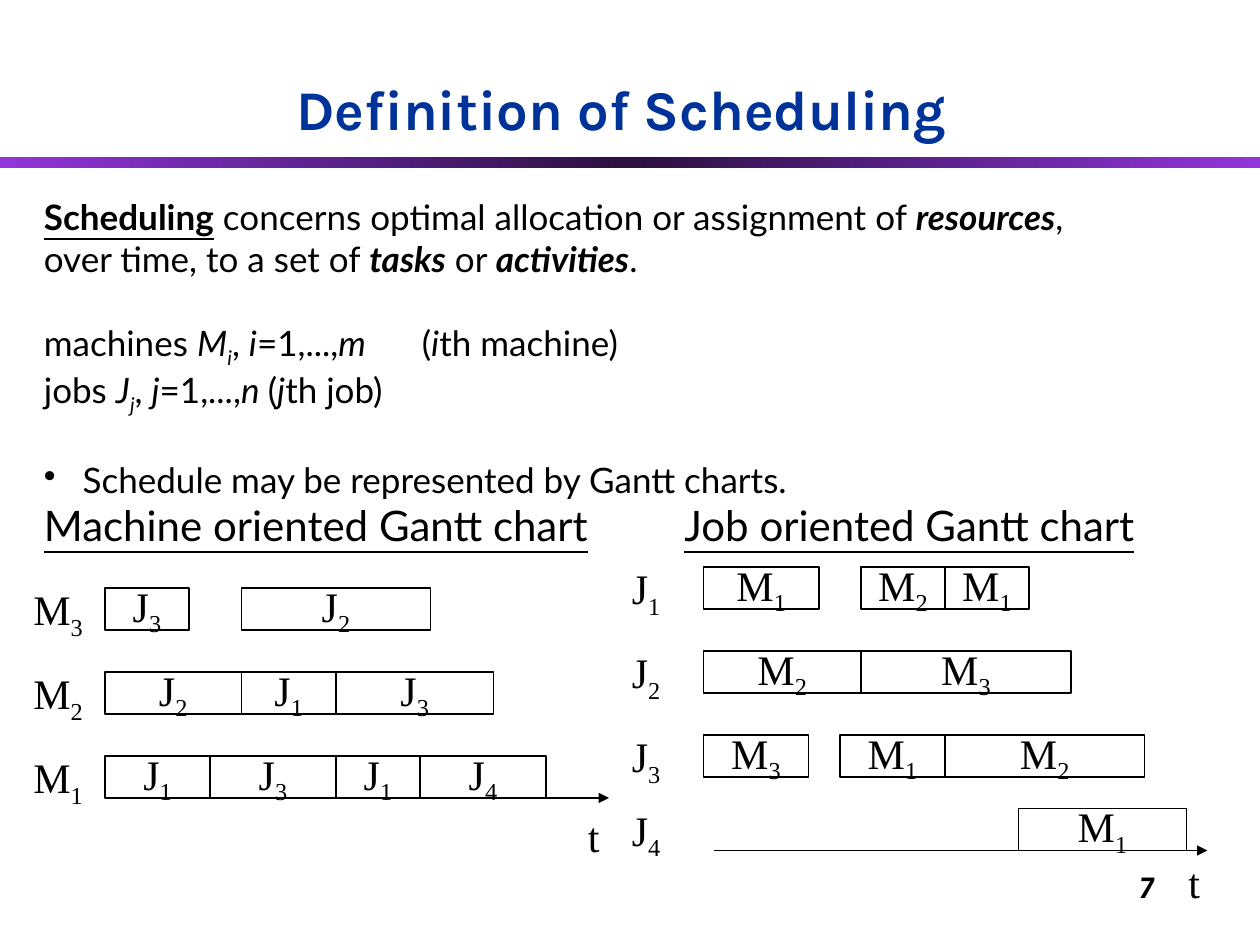
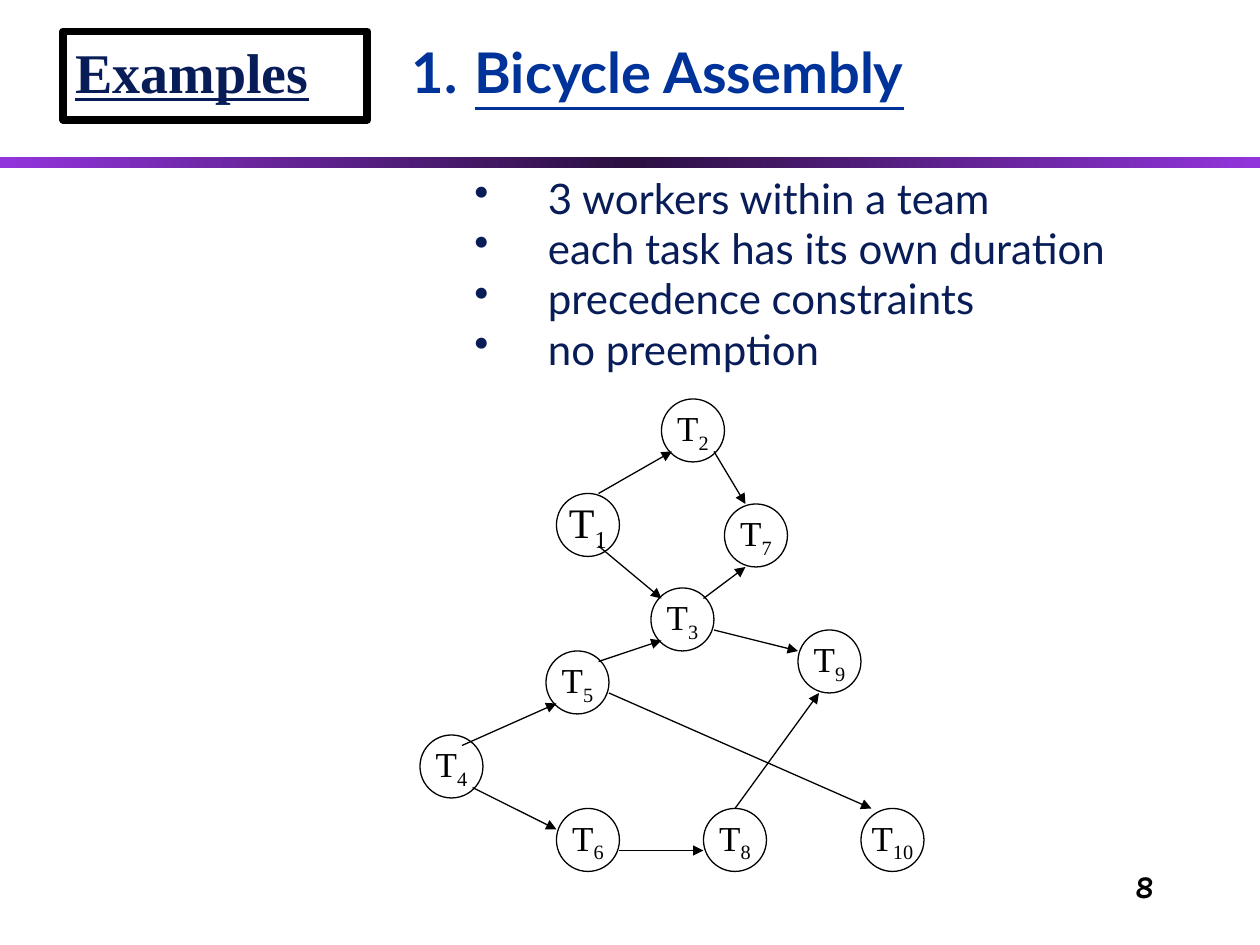
"""Build two lecture slides: the definition of scheduling and a bicycle assembly example."""
from copy import deepcopy

from lxml import etree
from pptx import Presentation
from pptx.dml.color import RGBColor
from pptx.enum.shapes import MSO_CONNECTOR, MSO_SHAPE
from pptx.enum.text import MSO_ANCHOR, MSO_AUTO_SIZE, PP_ALIGN
from pptx.oxml.ns import qn
from pptx.util import Pt

PX = 7620
RECTANGLE, ELLIPSE = MSO_SHAPE.RECTANGLE, MSO_SHAPE.OVAL
STRAIGHT = MSO_CONNECTOR.STRAIGHT
TOP, MIDDLE = MSO_ANCHOR.TOP, MSO_ANCHOR.MIDDLE
LEFT, CENTER, RIGHT = PP_ALIGN.LEFT, PP_ALIGN.CENTER, PP_ALIGN.RIGHT
FIXED = MSO_AUTO_SIZE.NONE
SERIF, SANS, DISPLAY = "Times New Roman", "Lato", "Karla"
BLACK, BLUE, NAVY = "000000", "003399", "081D58"
BAND_COLOURS = ("9234DB", "2B1041", "9234DB")


def write(paragraph, runs, font=SERIF, size=24, colour=BLACK):
    """Add runs of (text, style), where style holds b, i, u or _ for subscript."""
    for text, style in runs:
        run = paragraph.add_run()
        run.text = text
        formats = {"name": font, "size": Pt(size), "bold": "b" in style,
                   "italic": "i" in style, "underline": "u" in style}
        for key, value in formats.items():
            setattr(run.font, key, value)
        run.font.color.rgb = RGBColor.from_string(colour)
        if "_" in style:
            run._r.get_or_add_rPr().set("baseline", "-25000")


def add_box(slide, bounds, runs, outline=None, line_width=0.75, align=LEFT,
            anchor=TOP, wrap=True, **text):
    """Add a text box, or an outlined shape, with one paragraph of text."""
    bounds = [PX * length for length in bounds]
    if outline is None:
        box = slide.shapes.add_textbox(*bounds)
    else:
        box = slide.shapes.add_shape(outline, *bounds)
        box.shadow.inherit = False
        box.fill.background()
        box.line.color.rgb = RGBColor.from_string(BLACK)
        box.line.width = Pt(line_width)
    frame = box.text_frame
    frame.word_wrap = wrap
    frame.vertical_anchor = anchor
    frame.paragraphs[0].alignment = align
    write(frame.paragraphs[0], runs, **text)
    return box


prs = Presentation()
prs.slide_width, prs.slide_height = 1200 * PX, 900 * PX
layout = prs.slide_layouts[5]
definition = prs.slides.add_slide(layout)
bicycle = prs.slides.add_slide(layout)

band = definition.shapes.add_shape(RECTANGLE, 0, 150 * PX, 1200 * PX, 10 * PX)
band.shadow.inherit = False
band.line.fill.background()
band.fill.gradient()
band.fill.gradient_angle = 0
stop_list = band.element.spPr.find(".//" + qn("a:gsLst"))
stop_list.append(deepcopy(stop_list[0]))
for index, stop in enumerate(band.fill.gradient_stops):
    stop.position = index / 2
    stop.color.rgb = RGBColor.from_string(BAND_COLOURS[index])
layout.element.cSld.spTree.append(band.element)

headings = [
    (definition, "Definition of Scheduling", "b", DISPLAY, (270, 65, 780, 75)),
    (bicycle, "Bicycle Assembly", "bu", SANS, (380, 30, 700, 75)),
]
for number, (slide, heading, style, font, bounds) in enumerate(headings, 7):
    title = slide.shapes.title
    title.left, title.top, title.width, title.height = [PX * n for n in bounds]
    frame_format = {"vertical_anchor": TOP, "auto_size": FIXED, "word_wrap": True}
    for key, value in frame_format.items():
        setattr(title.text_frame, key, value)
    title.text_frame.paragraphs[0].alignment = LEFT
    write(title.text_frame.paragraphs[0], [(heading, style)], font, 32, BLUE)
    add_box(slide, (860, 820, 250, 60), [(str(number), "bi")], align=RIGHT,
            font=DISPLAY, size=18)

explanation = add_box(
    definition, (30, 180, 1130, 290),
    [("Scheduling", "bu"), (" concerns optimal allocation or assignment of ", ""),
     ("resources", "bi"), (",", "")], font=SANS, size=20).text_frame
explanation.paragraphs[0].add_line_break()
write(explanation.paragraphs[0],
      [("over time, to a set of ", ""), ("tasks", "bi"), (" or ", ""),
       ("activities", "bi"), (".", "")], SANS, 20)
notation = [
    (24, [("machines ", ""), ("M", "i"), ("i", "i_"), (", ", ""), ("i", "i"),
          ("=1,...,", ""), ("m\t", "i"), ("(", ""), ("i", "i"), ("th machine)", "")]),
    (0, [("jobs ", ""), ("J", "i"), ("j", "i_"), (", ", ""), ("j", "i"),
         ("=1,...,", ""), ("n ", "i"), ("(", ""), ("j", "i"), ("th job)", "")]),
    (24, [("Schedule may be represented by Gantt charts.", "")]),
]
for space, runs in notation:
    paragraph = explanation.add_paragraph()
    paragraph.space_before = Pt(space)
    write(paragraph, runs, SANS, 20)
bulleted = [(paragraph, 37, "a:buChar", "char", "•"),
            (bicycle.shapes.title.text_frame.paragraphs[0], 60,
             "a:buAutoNum", "type", "arabicPeriod")]

gantt_charts = [
    ("Machine oriented Gantt chart", 30, "M", 20, "J", (548, 766), [
        ("3", 560, [("3", 100, 80), ("2", 230, 180)]),
        ("2", 640, [("2", 100, 130), ("1", 230, 90), ("3", 320, 150)]),
        ("1", 720, [("1", 100, 100), ("3", 200, 120), ("1", 320, 80), ("4", 400, 120)]),
    ]),
    ("Job oriented Gantt chart", 640, "J", 590, "M", (1120, 810), [
        ("1", 540, [("1", 670, 110), ("2", 820, 80), ("1", 900, 80)]),
        ("2", 620, [("2", 670, 150), ("3", 820, 200)]),
        ("3", 700, [("3", 670, 100), ("1", 800, 100), ("2", 900, 190)]),
        ("4", 770, [("1", 970, 160)]),
    ]),
]
for caption, caption_x, row_letter, label_x, bar_letter, time_at, rows in gantt_charts:
    add_box(definition, (caption_x, 470, 560, 60), [(caption, "u")], font=SANS)
    for row, y, bars in rows:
        add_box(definition, (label_x, y - 10, 80, 60), [(row_letter, ""), (row, "_")])
        for index, x, width in bars:
            add_box(definition, (x, y, width, 40), [(bar_letter, ""), (index, "_")],
                    outline=RECTANGLE, align=CENTER, anchor=MIDDLE, wrap=False)
    add_box(definition, (*time_at, 40, 60), [("t", "")])

add_box(bicycle, (60, 30, 290, 84), [("Examples", "bu")], outline=RECTANGLE,
        line_width=4.5, size=32, colour=NAVY)
conditions = ["3 workers within a team", "each task has its own duration",
              "precedence constraints", "no preemption"]
condition_frame = add_box(bicycle, (440, 158, 640, 205), []).text_frame
for index, condition in enumerate(conditions):
    paragraph = condition_frame.add_paragraph() if index else condition_frame.paragraphs[0]
    write(paragraph, [(condition, "")], SANS, 24, NAVY)
    bulleted.append((paragraph, 70, "a:buChar", "char", "•"))

for paragraph, indent, tag, key, value in bulleted:
    properties = paragraph._p.get_or_add_pPr()
    properties.set("marL", str(indent * PX))
    properties.set("indent", str(-indent * PX))
    etree.SubElement(properties, qn(tag)).set(key, value)

tasks = {1: (530, 470), 2: (630, 380), 3: (620, 560), 4: (400, 700), 5: (520, 620),
         6: (530, 770), 7: (690, 480), 8: (670, 770), 9: (760, 600), 10: (820, 770)}
for task, corner in tasks.items():
    add_box(bicycle, (*corner, 60, 60), [("T", ""), (str(task), "_")], outline=ELLIPSE,
            align=CENTER, anchor=MIDDLE, wrap=False, size=24 if task == 1 else 20)

time_axes = [(100, 760, 580, 760), (680, 810, 1150, 810)]
precedences = [
    (570, 470, 640, 430), (680, 430, 710, 480), (570, 520, 630, 570),
    (670, 570, 710, 540), (570, 630, 630, 610), (440, 710, 530, 670),
    (450, 750, 530, 790), (590, 810, 670, 810), (580, 660, 830, 770),
    (700, 770, 780, 660), (680, 600, 760, 620),
]
for slide, arrows in ((definition, time_axes), (bicycle, precedences)):
    for ends in arrows:
        arrow = slide.shapes.add_connector(STRAIGHT, *[PX * n for n in ends])
        arrow.line.color.rgb = RGBColor.from_string(BLACK)
        arrow.line.width = Pt(0.75)
        outline = arrow.element.spPr.find(qn("a:ln"))
        etree.SubElement(outline, qn("a:tailEnd")).set("type", "triangle")
        etree.SubElement(arrow.element.spPr, qn("a:effectLst"))

prs.save("out.pptx")
